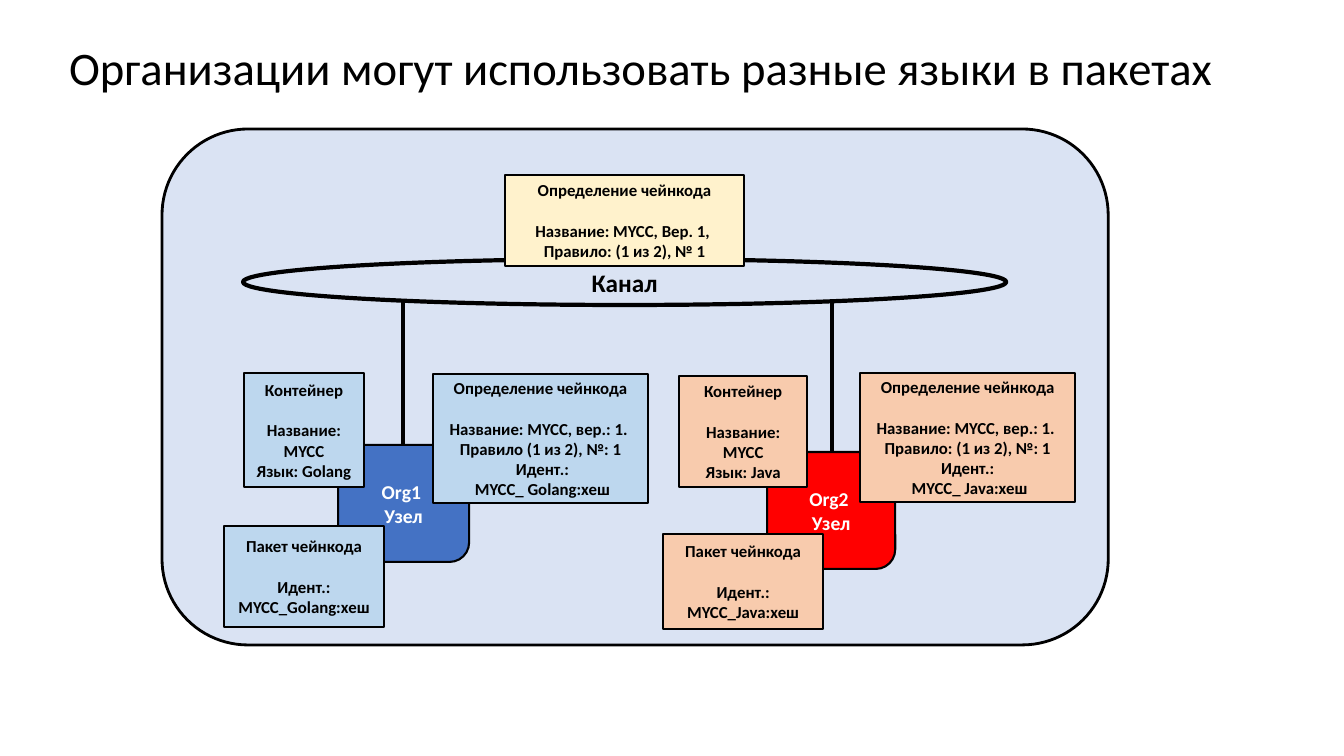
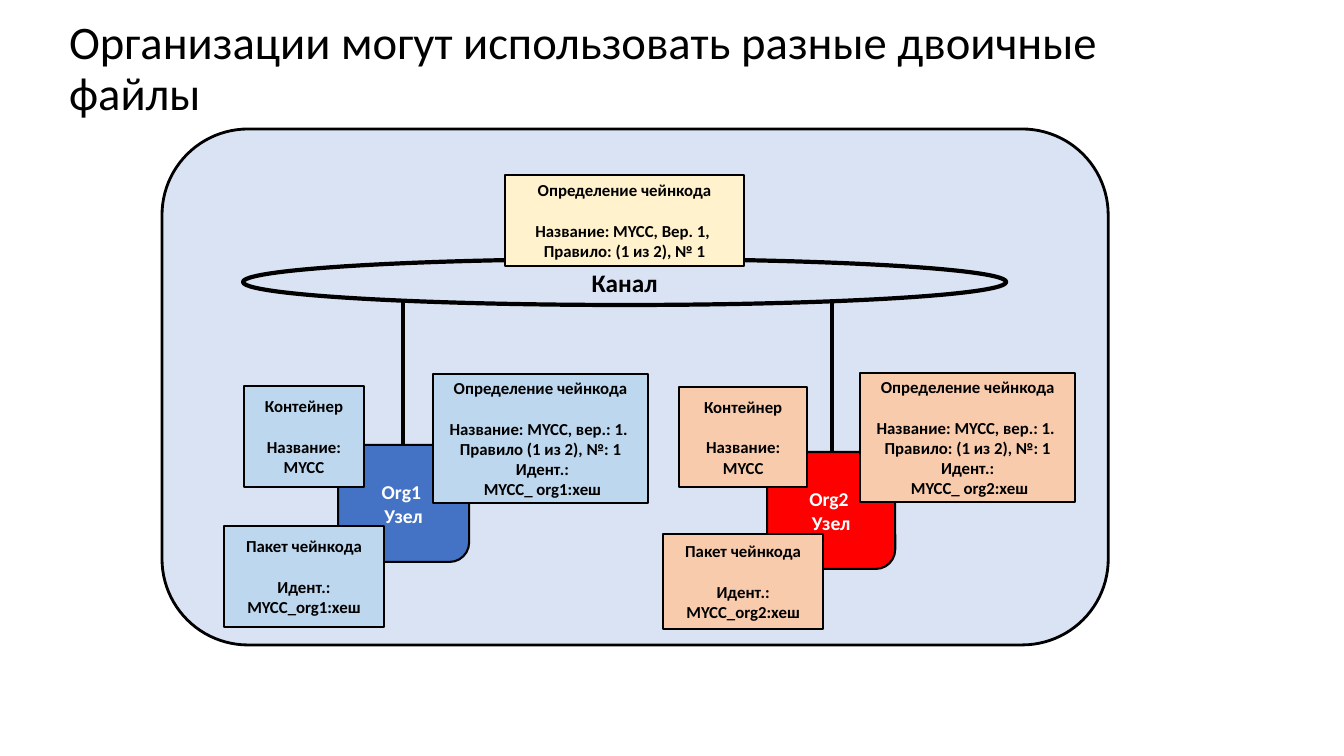
from pptx import Presentation
from pptx.dml.color import RGBColor
from pptx.enum.shapes import MSO_CONNECTOR, MSO_SHAPE
from pptx.enum.text import MSO_ANCHOR, MSO_AUTO_SIZE, PP_ALIGN
from pptx.oxml import parse_xml
from pptx.oxml.ns import nsdecls
from pptx.util import Inches, Pt

BLACK, WHITE = "000000", "FFFFFF"
PANEL, CREAM = "DAE3F3", "FFF2CC"
FONT = "Calibri"
HEAD = (64, 22, 1159, 96)
FRAME = (162, 129, 946, 516)
CANAL = (243, 259, 763, 46)
RULE = (505, 175, 239, 91)
BASE = 487

SLIDES = [
    ("Организации могут использовать разные языки в пакетах",
     [("Golang", 373, ["Язык: Golang"]), ("Java", 376, ["Язык: Java"])]),
    ("Организации могут использовать разные двоичные файлы",
     [("org1", 386, []), ("org2", 387, [])]),
]

ORGS = [
    {"name": "Org1 ", "dark": "4472C4", "pale": "BDD7EE",
     "node": (338, 445, 131, 117), "wire": (403, 299),
     "pack": (224, 526, 160, 101), "box": (244, 120),
     "term": (433, 374, 215, 129),
     "rule": ["Правило (1 из 2), №: 1", " Идент.:"]},
    {"name": "Org2 ", "dark": "FF0000", "pale": "F8CBAD",
     "node": (767, 452, 128, 117), "wire": (832, 302),
     "pack": (663, 534, 160, 95), "box": (679, 128),
     "term": (860, 373, 215, 129),
     "rule": ["Правило: (1 из 2), №: 1", "Идент.:"]},
]


def px(n):
    return round(n * 914400 / 100.8)


def rgb(code):
    return RGBColor.from_string(code)


def style(frame, size, color, bold, align):
    for para in frame.paragraphs:
        para.alignment = align
        for run in para.runs:
            font = run.font
            font.name, font.size, font.bold = FONT, Pt(size), bold
            font.color.rgb = rgb(color)


def draw(slide, kind, area, fill, width, lines=(), size=12, color=BLACK):
    shape = slide.shapes.add_shape(kind, *map(px, area))
    shape.shadow.inherit = False
    if fill:
        shape.fill.solid()
        shape.fill.fore_color.rgb = rgb(fill)
    else:
        shape.fill.background()
    shape.line.color.rgb = rgb(BLACK)
    shape.line.width = Pt(width)
    frame = shape.text_frame
    frame.word_wrap = True
    frame.vertical_anchor = MSO_ANCHOR.MIDDLE
    frame.text = "\n".join(lines)
    style(frame, size, color, True, PP_ALIGN.CENTER)
    return shape


def card(slide, area, fill, lines):
    shape = draw(slide, MSO_SHAPE.ROUNDED_RECTANGLE, area, fill, 1.5, lines)
    shape.adjustments[0] = 0
    shape.text_frame.paragraphs[0].space_after = Pt(14.6)


def wire(slide, x, top, end):
    line = slide.shapes.add_connector(
        MSO_CONNECTOR.STRAIGHT, px(x), px(top), px(x), px(end))
    line.line.color.rgb = rgb(BLACK)
    line.line.width = Pt(3)
    props = line._element.spPr
    props.append(parse_xml("<a:effectLst %s/>" % nsdecls("a")))


def title(slide, text):
    head = slide.shapes.title
    head.left, head.top, head.width, head.height = map(px, HEAD)
    frame = head.text_frame
    frame.text = text
    frame.word_wrap = True
    frame.auto_size = MSO_AUTO_SIZE.NONE
    frame.vertical_anchor = MSO_ANCHOR.MIDDLE
    frame.margin_left = frame.margin_right = Inches(0.05)
    frame.margin_top = frame.margin_bottom = Inches(0.05)
    frame.paragraphs[0].line_spacing = 0.9
    style(frame, 33.3, BLACK, False, PP_ALIGN.LEFT)


def node(slide, org):
    draw(slide, MSO_SHAPE.ROUNDED_RECTANGLE, org["node"], org["dark"], 1.5,
         [org["name"], "Узел"], 14, WHITE)
    x, top = org["wire"]
    wire(slide, x, top, org["node"][1])


def cards(slide, org, code, top, extra):
    pale = org["pale"]
    left, width = org["box"]
    card(slide, org["pack"], pale,
         ["Пакет чейнкода", f"Идент.: MYCC_{code}:хеш"])
    card(slide, (left, top, width, BASE - top), pale,
         ["Контейнер", "Название: MYCC"] + extra)
    card(slide, org["term"], pale,
         ["Определение чейнкода", "Название: MYCC, вер.: 1. "]
         + org["rule"] + [f" MYCC_ {code}:хеш"])


deck = Presentation()
deck.slide_width, deck.slide_height = Inches(13.33), Inches(7.5)
for text, parts in SLIDES:
    slide = deck.slides.add_slide(deck.slide_layouts[5])
    title(slide, text)
    draw(slide, MSO_SHAPE.ROUNDED_RECTANGLE, FRAME, PANEL, 2)
    draw(slide, MSO_SHAPE.OVAL, CANAL, None, 3, ["Канал"], 18)
    card(slide, RULE, CREAM,
         ["Определение чейнкода", "Название: MYCC, Вер. 1, ",
          "Правило: (1 из 2), № 1"])
    for org, part in zip(ORGS, parts):
        node(slide, org)
        cards(slide, org, *part)
deck.save("out.pptx")
